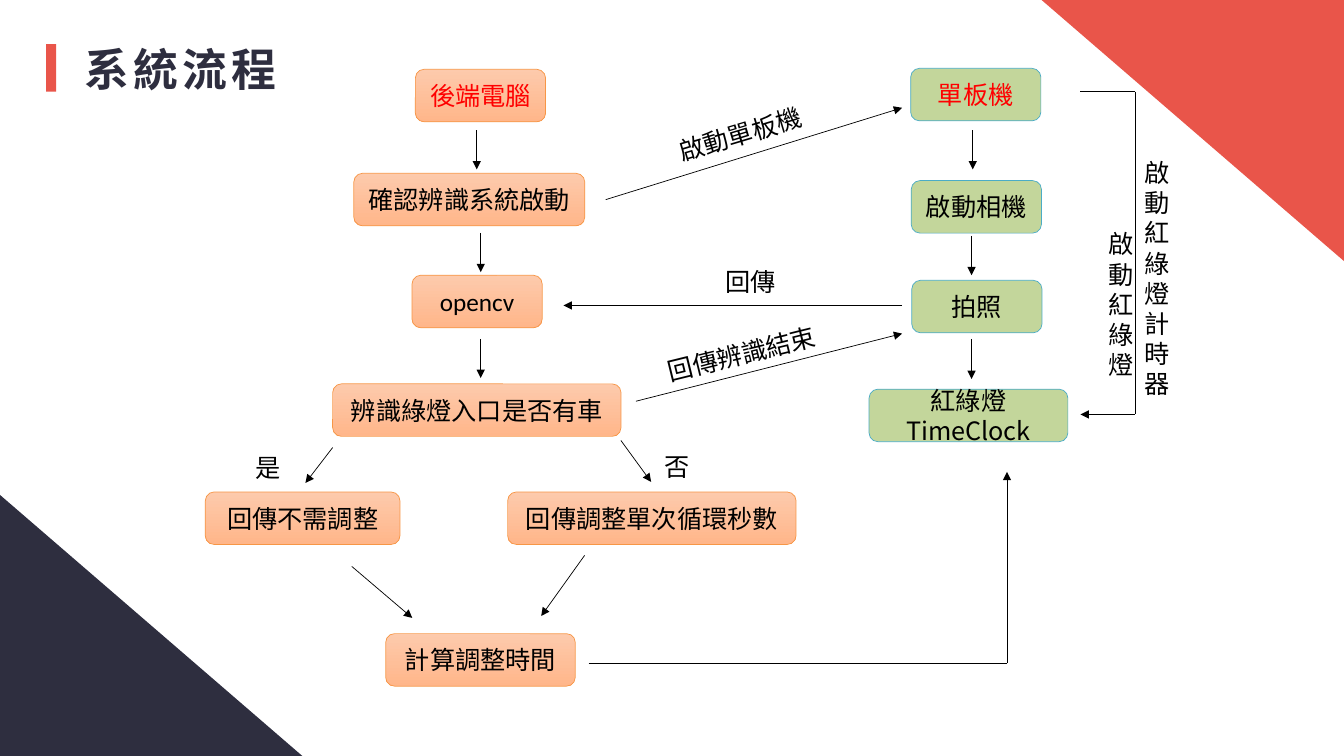
import pptx
import pptx.util
import pptx.dml.color
import pptx.enum.shapes
import pptx.enum.text
import pptx.oxml.ns
from lxml import etree

Pt = pptx.util.Pt
RGBColor = pptx.dml.color.RGBColor
Kind = pptx.enum.shapes.MSO_SHAPE
Align = pptx.enum.text.PP_ALIGN
Anchor = pptx.enum.text.MSO_ANCHOR
qn = pptx.oxml.ns.qn

CORAL = RGBColor(0xE9, 0x55, 0x4A)
NAVY = RGBColor(0x2E, 0x2E, 0x3F)
PEACH = RGBColor(0xFD, 0xCA, 0xAC)
APRICOT = RGBColor(0xFF, 0xB6, 0x8A)
ORANGE = RGBColor(0xF7, 0x96, 0x46)
GREEN = RGBColor(0xC3, 0xD6, 0x9B)
TEAL = RGBColor(0x4B, 0xAC, 0xC6)
RED = RGBColor(0xFF, 0, 0)
BLACK = RGBColor(0, 0, 0)
CJK = "Noto Sans CJK SC"

WIDE, HIGH = 960, 540
BOX_H = 37.5
SIZE, LINE_H = 18, 21.6
PAD_X, PAD_Y = 14.4, 7.2

TITLE = "系統流程"

# text, centre x, top, width, text colour, font
SERVER = [
    ("後端電腦", 343.2, 49.5, 93, RED, CJK),
    ("確認辨識系統啟動", 335.2, 123.8, 165, BLACK, CJK),
    ("opencv", 340.8, 196.6, 93, BLACK, "Calibri"),
    ("辨識綠燈入口是否有車", 340.6, 274.2, 206, BLACK, CJK),
    ("回傳不需調整", 216.2, 351.4, 139, BLACK, CJK),
    ("回傳調整單次循環秒數", 465.6, 351.4, 206, BLACK, CJK),
    ("計算調整時間", 343.2, 452.6, 135.4, BLACK, CJK),
]
BOARD = [
    ("單板機", 697, 48.8, 93, RED, CJK),
    ("啟動相機", 697.4, 129, 93, BLACK, CJK),
    ("拍照", 697.8, 200.2, 93, BLACK, CJK),
    ("紅綠燈TimeClock", 691.8, 278, 142, BLACK, CJK),
]

# points along each route; the arrowhead sits at the last one
ROUTES = [
    [(340.6, 93), (340.6, 121)],
    [(343.4, 166.3), (343.4, 194.4)],
    [(343.4, 242), (343.4, 270)],
    [(237.6, 319.7), (218.2, 345)],
    [(443.5, 314.6), (465.1, 344.2)],
    [(251.3, 404.6), (294.5, 441.4)],
    [(417.6, 396.7), (386.6, 440)],
    [(694.8, 93), (694.8, 121)],
    [(694, 168.5), (694, 196.6)],
    [(694, 242), (694, 270.7)],
    [(432.7, 142.6), (644.4, 77)],
    [(644.4, 218.2), (402.5, 218.2)],
    [(454.3, 286.6), (644.4, 238.3)],
    [(420.5, 473.8), (719.3, 473.8), (719.3, 337)],
    [(771.8, 65.5), (810.7, 65.5), (810.7, 296), (771.8, 296)],
]

# lines, left, top, rotation
LABELS = [
    (["啟動單板機"], 476.6, 81.4, -16.8),
    (["回傳"], 511.2, 186.5, 0),
    (["回傳辨識結束"], 468.7, 238.3, -13.8),
    (["是"], 175.7, 319.7, 0),
    (["否"], 467.3, 319, 0),
    (list("啟動紅綠燈計時器"), 810.7, 108.7, 0),
    (list("啟動紅綠燈"), 784.8, 159.8, 0),
]


def write(para, text, size, color, font):
    run = para.add_run()
    run.text = text
    run.font.size = Pt(size)
    run.font.color.rgb = color
    run.font.name = font
    east = etree.SubElement(run.font._element, qn("a:ea"))
    east.set("typeface", CJK)
    return run


def block(kind, left, top, width, height, fill=None):
    shape = slide.shapes.add_shape(kind, Pt(left), Pt(top), Pt(width), Pt(height))
    shape.shadow.inherit = False
    shape.line.fill.background()
    if fill is not None:
        shape.fill.solid()
        shape.fill.fore_color.rgb = fill
    return shape


def corner(left, top, turn, fill):
    shape = block(Kind.ISOSCELES_TRIANGLE, left, top, 216, 186.5, fill)
    shape.adjustments[0] = 0
    shape.rotation = turn


def step(text, mid, top, width, color, font, fill, edge):
    shape = block(Kind.ROUNDED_RECTANGLE, mid - width / 2, top, width, BOX_H, fill)
    if fill is None:
        shape.fill.gradient()
        shape.fill.gradient_angle = 270
        for stop, tone in zip(shape.fill.gradient_stops, (PEACH, APRICOT)):
            stop.color.rgb = tone
    shape.line.color.rgb = edge
    shape.line.width = Pt(0.5)
    frame = shape.text_frame
    frame.word_wrap = True
    frame.vertical_anchor = Anchor.MIDDLE
    frame.paragraphs[0].alignment = Align.CENTER
    write(frame.paragraphs[0], text, SIZE, color, font)


def segment(start, end, head):
    line = slide.shapes.add_connector(
        pptx.enum.shapes.MSO_CONNECTOR.STRAIGHT, *map(Pt, start + end))
    line.line.color.rgb = BLACK
    line.line.width = Pt(0.5)
    if head:
        tip = etree.SubElement(line.line._get_or_add_ln(), qn("a:tailEnd"))
        tip.set("type", "triangle")
    etree.SubElement(line._element.spPr, qn("a:effectLst"))


def label(lines, left, top, turn):
    width = SIZE * len(lines[0]) + PAD_X
    height = LINE_H * len(lines) + PAD_Y
    box = slide.shapes.add_textbox(Pt(left), Pt(top), Pt(width), Pt(height))
    box.rotation = turn
    frame = box.text_frame
    frame.word_wrap = False
    for i, text in enumerate(lines):
        para = frame.add_paragraph() if i else frame.paragraphs[0]
        write(para, text, SIZE, BLACK, CJK)


deck = pptx.Presentation()
deck.slide_width, deck.slide_height = Pt(WIDE), Pt(HIGH)
slide = deck.slides.add_slide(deck.slide_layouts[5])

corner(WIDE - 216, 0, 180, CORAL)
corner(0, HIGH - 186.5, 0, NAVY)
block(Kind.RECTANGLE, 33, 31.5, 7.2, 34, CORAL)

title = slide.shapes.title
title.left, title.top, title.width, title.height = map(Pt, (53.3, 26, 165, 46))
frame = title.text_frame
frame.word_wrap = True
frame.auto_size = pptx.enum.text.MSO_AUTO_SIZE.NONE
frame.vertical_anchor = Anchor.TOP
frame.paragraphs[0].alignment = Align.LEFT
run = write(frame.paragraphs[0], TITLE, 32, NAVY, "League Spartan")
run.font.bold = True
run.font._element.set("spc", "300")

for item in SERVER:
    step(*item, None, ORANGE)
for item in BOARD:
    step(*item, GREEN, TEAL)
for route in ROUTES:
    for start, end in zip(route, route[1:]):
        segment(start, end, end == route[-1])
for item in LABELS:
    label(*item)

deck.save("out.pptx")
